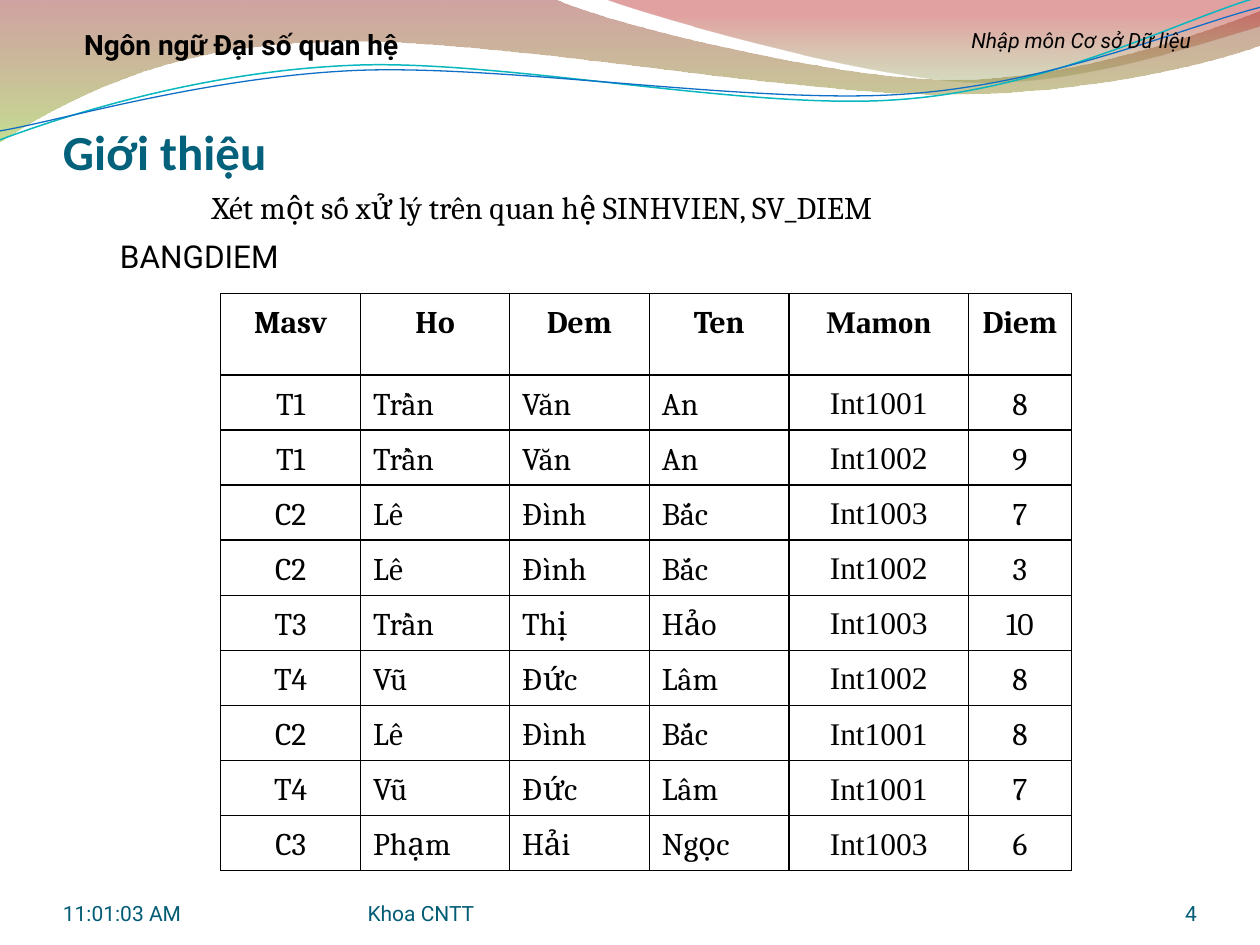
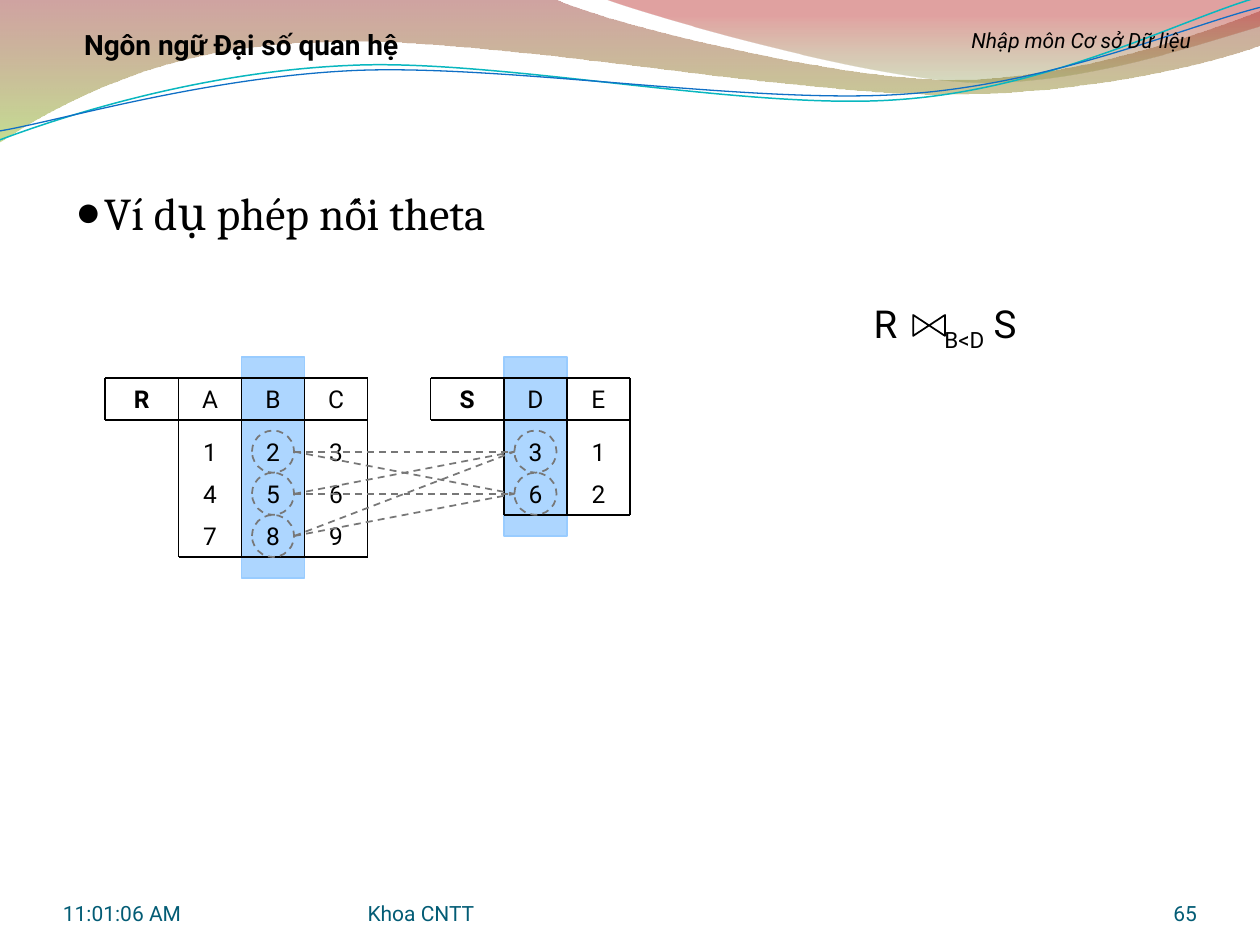
from dataclasses import dataclass, replace
from itertools import accumulate, chain, product
from lxml.etree import SubElement as Sub
from pptx import Presentation
from pptx.dml.color import RGBColor
from pptx.enum.dml import MSO_LINE as Dash
from pptx.enum.shapes import MSO_CONNECTOR as Link, MSO_SHAPE as Form
from pptx.enum.text import MSO_ANCHOR as Anchor, PP_ALIGN as Align
from pptx.oxml.ns import qn
from pptx.util import Cm, Pt


@dataclass(frozen=True)
class Type:
    size: float
    font: str = "Roboto"
    color: str = "000000"
    bold: bool = False
    slant: bool = False
    base: int = 0


@dataclass(frozen=True)
class Theme:
    ink: str = "000000"
    sky: str = "99CCFF"
    gray: str = "777777"
    teal: str = "09B7BF"
    blue: str = "0F6FC6"
    title: Type = Type(28, "Calibri", "04617B", bold=True)
    body: Type = Type(26, "Cambria")
    lead: Type = Type(18, "Cambria")
    code: Type = Type(18, "Times New Roman")
    label: Type = Type(18)
    head: Type = Type(16, bold=True)
    note: Type = Type(12, slant=True)
    foot: Type = Type(12, color="035C75")
    grid: Type = Type(14)
    math: Type = Type(22)
    inset: tuple = (0.25, 0.13, 0.25, 0.13)
    flush: tuple = (0, 0, 0, 0)


WAVE = [(0, -0.02), [(11.18, -0.02)],
        [(12.09, 0.43), (16.84, 1.6), (19.25, 1.6)],
        [(21.67, 1.6), (24.33, 0.64), (25.4, 0.23)], [(25.42, 0.91)],
        [(24.97, 1.12), (22.1, 1.93), (18.95, 1.9)],
        [(15.8, 1.9), (9.7, 0.71), (6.53, 0.86)],
        [(3.28, 0.89), (1.17, 2.11), (-0.02, 2.87)]]
CREST = [(12.17, -0.02), [(12.93, 0.28), (17.32, 1.55), (19.53, 1.65)],
         [(21.72, 1.75), (24.41, 0.81), (25.4, 0.53)], [(25.4, 0)]]
UPPER = [(0, 2.82), [(1.22, 2.36), (4.01, 1.45), (7.04, 1.32)],
         [(10.03, 1.17), (15.04, 2.24), (18.11, 2.01)],
         [(21.16, 1.8), (23.83, 0.38), (25.35, -0.05)]]
LOWER = [(0, 2.64), [(1.19, 2.44), (4.17, 1.55), (7.19, 1.42)],
         [(10.24, 1.3), (15.16, 2.11), (18.21, 1.9)],
         [(21.23, 1.7), (23.9, 0.53), (25.4, 0.15)]]

MARKS = """T1 Trần Văn An Int1001 8
T1 Trần Văn An Int1002 9
C2 Lê Đình Bắc Int1003 7
C2 Lê Đình Bắc Int1002 3
T3 Trần Thị Hảo Int1003 10
T4 Vũ Đức Lâm Int1002 8
C2 Lê Đình Bắc Int1001 8
T4 Vũ Đức Lâm Int1001 7
C3 Phạm Hải Ngọc Int1003 6"""


def fade(color, share):
    Sub(color, qn("a:alpha"), val=str(share * 1000))


def bend(shape, parts):
    legs = iter(list(shape.element.spPr.iter(qn("a:lnTo"))))
    for part in parts:
        group = [next(legs) for _ in part]
        if len(group) == 3:
            curve = group[0].makeelement(qn("a:cubicBezTo"))
            group[0].addprevious(curve)
            for leg in group:
                curve.append(leg[0])
                leg.getparent().remove(leg)


class Deck:
    def __init__(self, theme):
        self.theme = theme
        self.file = Presentation()
        self.file.slide_width, self.file.slide_height = Cm(25.4), Cm(19.05)
        self.blank = self.file.slide_layouts[6]
        for holder in list(self.blank.placeholders):
            holder.element.getparent().remove(holder.element)
        self.slide = None

    def page(self, time, number):
        self.slide = self.file.slides.add_slide(self.blank)
        if len(self.file.slides) == 1:
            self.bands()
        th = self.theme
        for left, width, words, align in ((1.27, 5.93, time, Align.LEFT),
                                          (22.01, 2.12, number, Align.RIGHT),
                                          (7.41, 9.31, "Khoa CNTT", Align.LEFT)):
            self.text(left, 17.65, width, 1.02, [(words, th.foot)], align, th.flush, Anchor.BOTTOM)
        self.text(18.2, 0.42, 7.2, 0.76, [("Nhập môn Cơ sở Dữ liệu", th.note)], Align.CENTER)
        self.text(0.63, 0.42, 8.47, 0.91, [("Ngôn ngữ Đại số quan hệ", th.head)], Align.CENTER)

    def bands(self):
        th = self.theme
        shapes = [self.band(WAVE, [(0, "973330", 45), (1, "95C238", 55)], 270),
                  self.band(CREST, [(0, "769537", 30), (0.8, "BE3330", 45)], 90),
                  self.wire(UPPER, th.teal, 0.85), self.wire(LOWER, th.blue, 0.75)]
        for shape in shapes:
            self.blank.shapes.element.append(shape.element)

    def shape(self, outline, close):
        start, *parts = outline
        pen = self.slide.shapes.build_freeform(*map(Cm, start))
        pen.add_line_segments([(Cm(x), Cm(y)) for x, y in chain(*parts)], close=close)
        shape = pen.convert_to_shape()
        bend(shape, parts)
        shape.shadow.inherit = False
        return shape

    def band(self, outline, stops, angle):
        shape = self.shape(outline, True)
        shape.line.fill.background()
        shape.fill.gradient()
        shape.fill.gradient_angle = angle
        for stop, (place, color, share) in zip(shape.fill.gradient_stops, stops):
            stop.position = place
            stop.color.rgb = RGBColor.from_string(color)
        for tint, stop in zip(list(shape.element.spPr.iter(qn("a:srgbClr"))), stops):
            fade(tint, stop[2])
        return shape

    def wire(self, outline, color, width):
        shape = self.shape(outline, False)
        shape.fill.background()
        self.stroke(shape, color, width)
        return shape

    def stroke(self, item, color, width=1, dash=None):
        item.line.color.rgb = RGBColor.from_string(color)
        item.line.width = Pt(width)
        if dash:
            item.line.dash_style = dash

    def runs(self, para, runs):
        for words, kind in runs:
            run = para.add_run()
            run.text = words
            font = run.font
            font.size, font.name = Pt(kind.size), kind.font
            font.bold, font.italic = kind.bold, kind.slant
            font.color.rgb = RGBColor.from_string(kind.color)
            if kind.base:
                run.font._element.set("baseline", str(kind.base * 1000))

    def text(self, left, top, width, height, runs, align=Align.LEFT,
             inset=None, anchor=Anchor.TOP, tab=None, bullet=None):
        frame = self.slide.shapes.add_textbox(Cm(left), Cm(top), Cm(width), Cm(height)).text_frame
        frame.word_wrap = True
        frame.vertical_anchor = anchor
        (frame.margin_left, frame.margin_top, frame.margin_right,
         frame.margin_bottom) = map(Cm, inset or self.theme.inset)
        para = frame.paragraphs[0]
        para.alignment = align
        props = para._p.get_or_add_pPr()
        if bullet:
            props.set("marL", str(Cm(0.58)))
            props.set("indent", str(-Cm(0.58)))
            Sub(props, qn("a:buSzPct"), val="95000")
            Sub(props, qn("a:buFont"), typeface=self.theme.code.font)
            Sub(props, qn("a:buChar"), char=bullet)
        if tab:
            Sub(Sub(props, qn("a:tabLst")), qn("a:tab"), pos=str(Cm(tab)), algn="l")
        self.runs(para, runs)

    def line(self, x1, y1, x2, y2, color=None, dash=None):
        item = self.slide.shapes.add_connector(Link.STRAIGHT, Cm(x1), Cm(y1), Cm(x2), Cm(y2))
        self.stroke(item, color or self.theme.ink, dash=dash)
        Sub(item.element.spPr, qn("a:effectLst"))

    def form(self, kind, left, top, width, height, color, fill=None, dash=None):
        shape = self.slide.shapes.add_shape(kind, Cm(left), Cm(top), Cm(width), Cm(height))
        shape.shadow.inherit = False
        if fill:
            shape.fill.solid()
            shape.fill.fore_color.rgb = RGBColor.from_string(fill)
            fade(shape.element.spPr.find(".//" + qn("a:srgbClr")), 80)
        else:
            shape.fill.background()
        self.stroke(shape, color, dash=dash)
        return shape

    def edges(self, cell):
        props = cell._tc.get_or_add_tcPr()
        for spot, side in enumerate(("a:lnL", "a:lnR", "a:lnT", "a:lnB")):
            edge = props.makeelement(qn(side), {"w": str(Pt(1))})
            Sub(Sub(edge, qn("a:solidFill")), qn("a:srgbClr"), val=self.theme.ink)
            props.insert(spot, edge)

    def table(self, left, top, widths, heights, rows):
        th = self.theme
        table = self.slide.shapes.add_table(len(rows), len(widths), Cm(left), Cm(top),
                                            Cm(sum(widths)), Cm(sum(heights))).table
        table.first_row = table.horz_banding = False
        for col, width in zip(table.columns, widths):
            col.width = Cm(width)
        for row, height in zip(table.rows, heights):
            row.height = Cm(height)
        for r, row in enumerate(rows):
            for c, words in enumerate(row):
                cell = table.cell(r, c)
                cell.margin_bottom = Cm(0.08)
                cell.fill.background()
                self.edges(cell)
                para = cell.text_frame.paragraphs[0]
                para.line_spacing = 1.15
                para.alignment = Align.LEFT if r and c in (1, 2, 3) else Align.CENTER
                kind = th.code if c == 4 else th.lead
                self.runs(para, [(words, replace(kind, bold=r == 0))])

    def relation(self, name, left, heads, rows, pick):
        th, top, wide, tall, gap, side = self.theme, 7.62, 1.27, 0.85, 0.21, 1.48
        xs = list(accumulate([wide] * len(heads), initial=left + side))
        neck = top + tall
        ys = [neck + gap + tall * r for r in range(len(rows))]
        end = ys[-1] + tall
        self.form(Form.RECTANGLE, xs[pick], top - 2 * gap, wide, end - top + 4 * gap, th.sky, th.sky)
        for y, start in ((top, left), (neck, left), (end, xs[0])):
            self.line(start, y, xs[-1], y)
        self.line(left, top, left, neck)
        for x in xs:
            self.line(x, top, x, end)
        self.text(left, top, side, tall, [(name, replace(th.grid, bold=True))], Align.CENTER)
        for y, row in zip([top] + ys, [heads] + rows):
            for x, words in zip(xs, row):
                self.text(x, y, wide, tall, [(words, th.grid)], Align.CENTER)
        rings = [(xs[pick] + gap, y) for y in ys]
        for x, y in rings:
            self.form(Form.OVAL, x, y, tall, tall, th.gray, dash=Dash.DASH)
        return [(x, x + tall, y + tall / 2) for x, y in rings]


def intro(deck):
    th = deck.theme
    deck.page("11:01:03 AM", "4")
    deck.text(1.27, 1.91, 22.86, 1.73, [("Giới thiệu", th.title)],
              inset=(0, 0.13, 0, 0), anchor=Anchor.BOTTOM)
    deck.text(1.48, 3.38, 22.86, 1.7,
              [("\t", th.body), ("Xét một số xử lý trên quan hệ SINHVIEN, SV_DIEM", th.lead)], tab=2.54)
    deck.text(1.48, 4.65, 5.08, 1.02, [("BANGDIEM", th.label)], Align.CENTER)
    rows = [row.split() for row in MARKS.splitlines()]
    deck.table(4.45, 5.92, [2.82, 3, 2.82, 2.82, 3.61, 2.08], [1.64] + [1.11] * len(rows),
               [["Masv", "Ho", "Dem", "Ten", "Mamon", "Diem"]] + rows)


def theta(deck):
    th = deck.theme
    deck.page("11:01:06 AM", "65")
    deck.text(1.27, 3.6, 22.86, 13.44, [("Ví dụ phép nối theta", th.body)], bullet="●")
    lefts = deck.relation("R", 2.12, "ABC", ["123", "456", "789"], 1)
    rights = deck.relation("S", 8.68, "DE", ["31", "62"], 0)
    for (_, x1, y1), (x2, _, y2) in product(lefts, rights):
        deck.line(x1, y1, x2, y2, th.gray, Dash.DASH)
    deck.text(17.36, 5.92, 4.23, 1.3,
              [("R\t", th.math), ("B<D", replace(th.math, base=-25)), (" S", th.math)], tab=1.43)
    deck.form(Form.FLOWCHART_COLLATE, 18.52, 6.24, 0.42, 0.64, th.ink).rotation = 270


def main():
    deck = Deck(Theme())
    intro(deck)
    theta(deck)
    deck.file.save("out.pptx")


if __name__ == "__main__":
    main()
